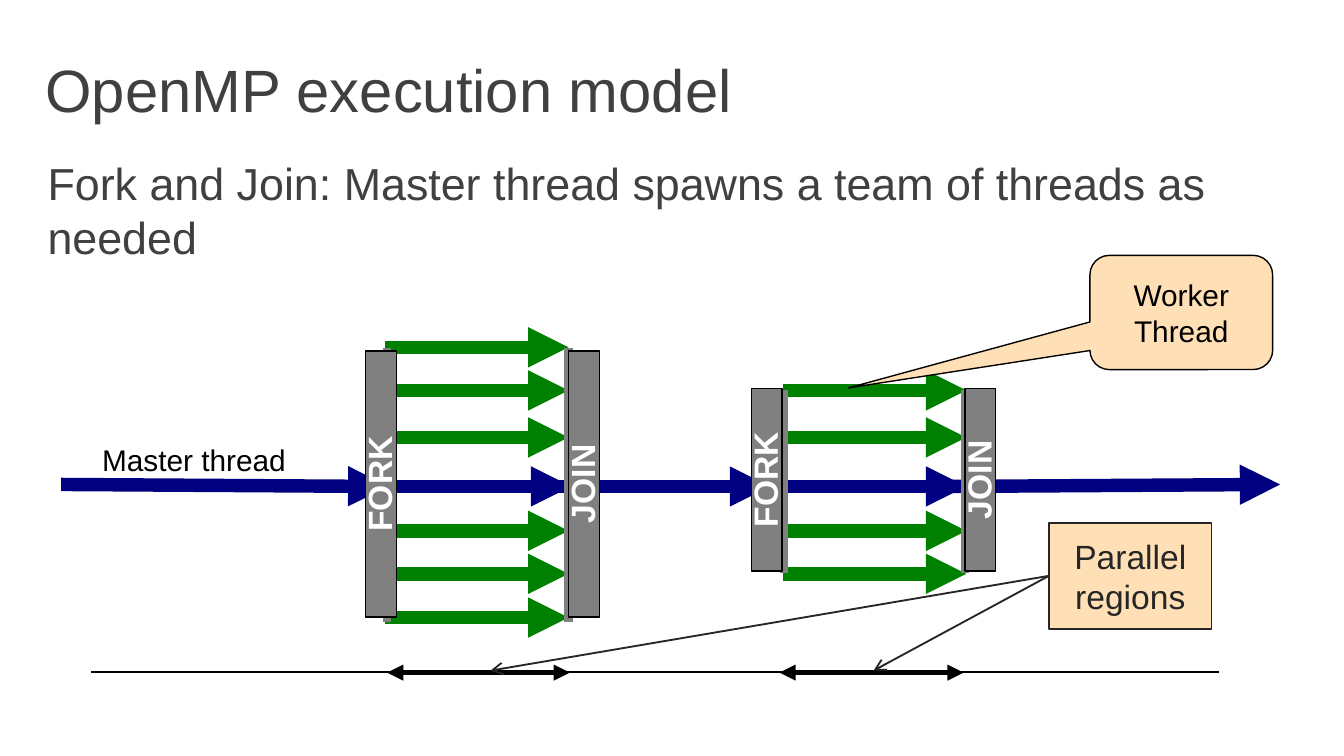
import dataclasses

import pptx
import pptx.dml.color
import pptx.enum.shapes
import pptx.enum.text
import pptx.oxml
import pptx.oxml.ns
import pptx.util

RGBColor = pptx.dml.color.RGBColor
NAVY = RGBColor(0x00, 0x00, 0x80)
GREEN = RGBColor(0x00, 0x80, 0x00)
GRAY = RGBColor(0x80, 0x80, 0x80)
PEACH = RGBColor(0xFF, 0xE0, 0xB6)
HEADING = RGBColor(0x40, 0x40, 0x40)
INK = RGBColor(0x26, 0x26, 0x26)
BLACK = RGBColor(0x00, 0x00, 0x00)
WHITE = RGBColor(0xFF, 0xFF, 0xFF)

# The slide is a square grid of 100 columns by 56.25 rows
COLUMNS, ROWS = 100, 56.25
CELL = 0.1
MASTER_ROW = 36.2
TIMELINE_ROW = 50
SHAPES = pptx.enum.shapes.MSO_SHAPE
MIDDLE = pptx.enum.text.MSO_ANCHOR.MIDDLE
CENTER = pptx.enum.text.PP_ALIGN.CENTER


@dataclasses.dataclass
class Region:
    fork: float          # centre column of each bar
    join: float
    bar_row: float       # centre row of the bars
    bar_length: float
    lanes: tuple         # first and last column of the worker lanes
    lane_rows: tuple
    rails: tuple         # columns of the rails beside the bars
    rail_rows: tuple
    span: tuple          # extent on the timeline
    pointer: float       # column that the label points to


REGIONS = (
    Region(28.35, 43.45, 36, 19.8, (28.65, 42.3),
           (25.85, 29.05, 32.55, 39.5, 42.7, 45.95),
           (28.8, 42.3), (25.9, 46.3), (28.8, 42.4), 36.5),
    Region(57.05, 72.95, 35.7, 13.6, (58.25, 71.9),
           (29.05, 32.55, 39.5, 42.7),
           (58.3, 71.8), (29, 42.6), (58, 71.7), 65),
)


def grid(*counts):
    return [pptx.util.Inches(count * CELL) for count in counts]


def add_line(slide, start, end, color, width, head=None, tail=None):
    line = slide.shapes.add_connector(
        pptx.enum.shapes.MSO_CONNECTOR.STRAIGHT, *grid(*start, *end))
    line.line.color.rgb = color
    line.line.width = pptx.util.Pt(width)
    properties = line._element.spPr
    outline = properties.find(pptx.oxml.ns.qn("a:ln"))
    for tag, kind in (("headEnd", head), ("tailEnd", tail)):
        if kind:
            outline.append(pptx.oxml.parse_xml(
                f'<a:{tag} {pptx.oxml.ns.nsdecls("a")} type="{kind}"/>'))
    properties.append(pptx.oxml.parse_xml(
        f'<a:effectLst {pptx.oxml.ns.nsdecls("a")}/>'))


def write(shape, text, size, color, align=None, spacing=None, bold=False,
          wrap=True, anchor=None, margins=(0.1, 0.05)):
    frame = shape.text_frame
    frame.text = text
    frame.word_wrap = wrap
    frame.vertical_anchor = anchor
    frame.margin_left = frame.margin_right = pptx.util.Inches(margins[0])
    frame.margin_top = frame.margin_bottom = pptx.util.Inches(margins[1])
    for paragraph in frame.paragraphs:
        paragraph.alignment = align
        paragraph.line_spacing = spacing
        paragraph.font.name = "Arial"
        paragraph.font.size = pptx.util.Pt(size)
        paragraph.font.bold = bold
        paragraph.font.color.rgb = color


def add_text(slide, box, text, size, color, **style):
    write(slide.shapes.add_textbox(*grid(*box)), text, size, color, **style)


def add_box(slide, kind, box, fill, outline, text, size, color, **style):
    shape = slide.shapes.add_shape(kind, *grid(*box))
    shape.shadow.inherit = False
    shape.fill.solid()
    shape.fill.fore_color.rgb = fill
    shape.line.color.rgb = outline
    shape.line.width = pptx.util.Pt(0.75)
    write(shape, text, size, color, align=CENTER, anchor=MIDDLE, **style)
    return shape


def add_bar(slide, column, region, label):
    length, thickness = region.bar_length, 2.3
    box = (column - length / 2, region.bar_row - thickness / 2, length, thickness)
    bar = add_box(slide, SHAPES.RECTANGLE, box, GRAY, BLACK, label, 18, WHITE,
                  bold=True, wrap=False, spacing=0.93, margins=(0.08, 0.04))
    bar.rotation = 270


def add_threads(slide):
    # Master thread
    for start, end in (((4.55, 36.05), (28.9, MASTER_ROW)),
                       ((56, MASTER_ROW), (71.9, MASTER_ROW)),
                       ((41.4, MASTER_ROW), (57.3, MASTER_ROW)),
                       ((26.6, MASTER_ROW), (42.5, MASTER_ROW)),
                       ((70.4, MASTER_ROW), (95.25, 36.05))):
        add_line(slide, start, end, NAVY, 7.2, tail="triangle")
    # Worker threads and rails
    for region in REGIONS:
        first, last = region.lanes
        for row in region.lane_rows:
            add_line(slide, (first, row), (last, row), GREEN, 7.2, tail="triangle")
        top, bottom = region.rail_rows
        for column in region.rails:
            add_line(slide, (column, top), (column, bottom), GRAY, 4.3)


def add_timeline(slide):
    for region in REGIONS:
        first, last = region.span
        add_line(slide, (first, TIMELINE_ROW + 0.05), (last, TIMELINE_ROW + 0.05),
                 BLACK, 2.9, head="triangle", tail="triangle")
    add_line(slide, (6.8, TIMELINE_ROW), (90.7, TIMELINE_ROW), BLACK, 0.75)


def main():
    presentation = pptx.Presentation()
    presentation.slide_width, presentation.slide_height = grid(COLUMNS, ROWS)
    slide = presentation.slides.add_slide(presentation.slide_layouts[6])

    # Headings
    add_text(slide, (2.4, 3.8, 96.6, 6.1), "OpenMP execution model", 32, HEADING,
             spacing=0.93, anchor=MIDDLE)
    add_text(slide, (2.55, 11.1, 95.2, 9.1),
             "Fork and Join: Master thread spawns a team of threads as needed",
             24, HEADING)

    # Diagram
    add_threads(slide)
    add_text(slide, (6.8, 32.7, 15.5, 3.3), "Master thread", 16, BLACK,
             spacing=0.93, wrap=False, margins=(0.08, 0.04))
    callout = add_box(slide, SHAPES.ROUNDED_RECTANGULAR_CALLOUT,
                      (81.1, 19, 13.6, 8.5), PEACH, BLACK, "Worker\nThread",
                      16, BLACK, margins=(0.08, 0.04))
    for index, value in enumerate((-1.82, 0.66, 0.17)):
        callout.adjustments[index] = value
    add_timeline(slide)
    for region in REGIONS:
        add_bar(slide, region.fork, region, "FORK")
        add_bar(slide, region.join, region, "JOIN")

    # Label with pointers to both regions
    add_box(slide, SHAPES.RECTANGLE, (78.05, 38.9, 12.1, 7.9), PEACH, INK,
            "Parallel regions", 18, INK)
    for region in REGIONS:
        add_line(slide, (region.pointer, TIMELINE_ROW - 0.1), (78.05, 42.85),
                 INK, 1, head="arrow")

    presentation.save("out.pptx")


main()
